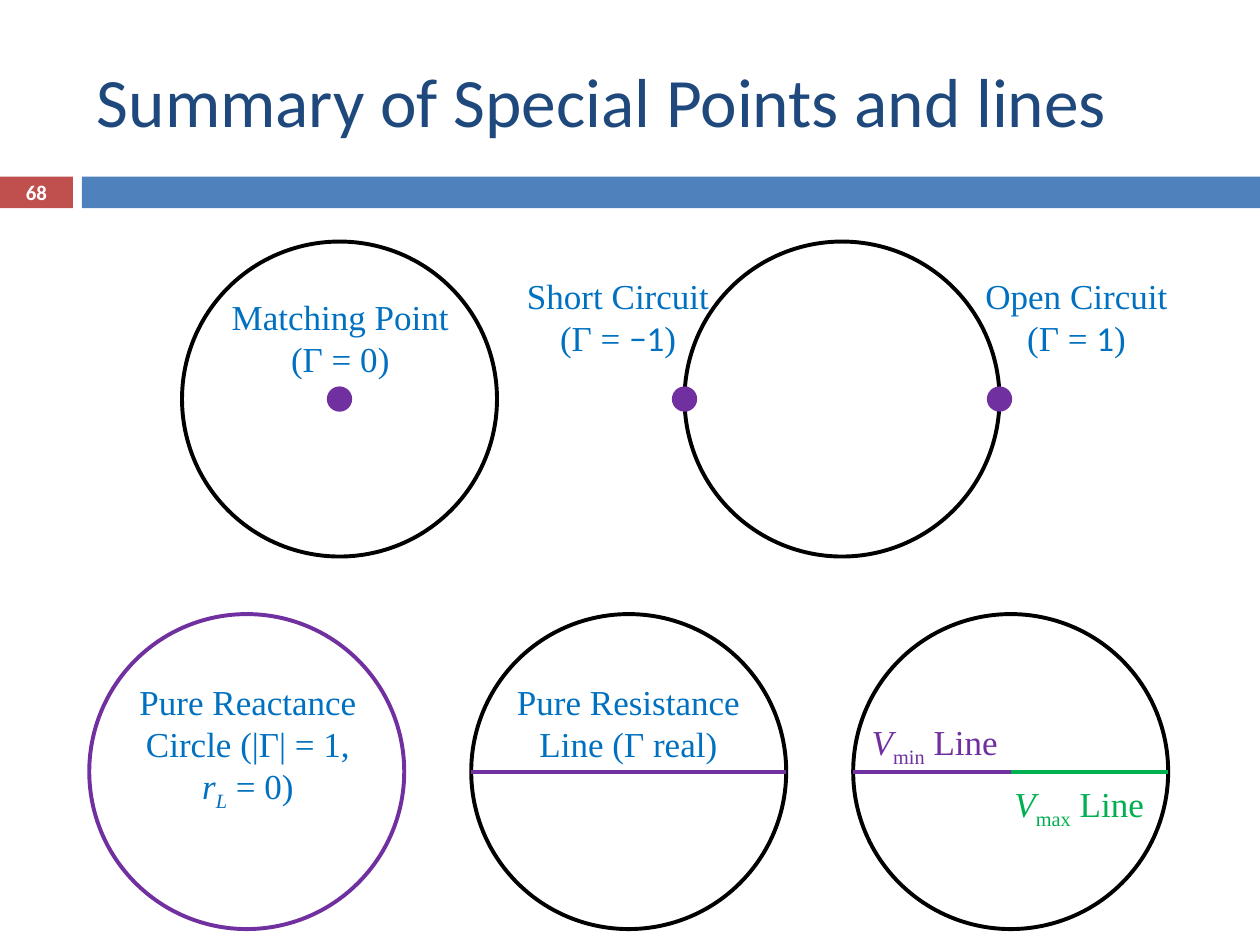
from lxml.etree import SubElement
from pptx import Presentation
from pptx.dml.color import RGBColor
from pptx.enum.shapes import MSO_CONNECTOR, MSO_SHAPE
from pptx.enum.text import MSO_ANCHOR, MSO_AUTO_SIZE, PP_ALIGN
from pptx.oxml.ns import qn
from pptx.util import Cm, Pt

COLORS = {"navy": "1F497D", "blue": "4F81BD", "red": "C0504D", "label": "0070C0",
          "purple": "7030A0", "green": "00B050", "black": "000000", "white": "FFFFFF"}
SERIF, SANS = "Times New Roman", "Calibri"
DIAMETER, DOT = 6.35, 0.51
RADIUS = DIAMETER / 2
ITALIC, SUB = {"italic": True}, {"sub": True}


class ChartSlide:
    """Holds the style and the current slide."""

    label_format = {"name": SERIF, "size": Pt(20)}

    def __init__(self, prs):
        self.slide = prs.slides.add_slide(prs.slide_layouts[5])
        self.shapes = self.slide.shapes

    def rgb(self, color):
        return RGBColor.from_string(COLORS[color])

    def style_run(self, run, color, formats):
        values = dict(formats)
        if values.pop("sub", False):
            run._r.get_or_add_rPr().set("baseline", "-25000")
        for attribute, value in values.items():
            setattr(run.font, attribute, value)
        run.font.color.rgb = self.rgb(color)

    def title(self, text, left, top, width, height):
        heading = self.shapes.title
        box = {"left": left, "top": top, "width": width, "height": height}
        for attribute, value in box.items():
            setattr(heading, attribute, Cm(value))
        frame = heading.text_frame
        frame.vertical_anchor = MSO_ANCHOR.MIDDLE
        frame.auto_size = MSO_AUTO_SIZE.NONE
        frame.text = text
        frame.paragraphs[0].alignment = PP_ALIGN.LEFT
        self.style_run(frame.paragraphs[0].runs[0], "navy", {"name": SANS, "size": Pt(39.6)})

    def shape(self, kind, left, top, width, height, fill=None, line=None):
        figure = self.shapes.add_shape(kind, Cm(left), Cm(top), Cm(width), Cm(height))
        figure.shadow.inherit = False
        if fill:
            figure.fill.solid()
            figure.fill.fore_color.rgb = self.rgb(fill)
        else:
            figure.fill.background()
        if line:
            figure.line.color.rgb = self.rgb(line)
            figure.line.width = Pt(2.25)
        else:
            figure.line.fill.background()

    def bar(self, left, width, color):
        self.shape(MSO_SHAPE.RECTANGLE, left, 3.56, width, 0.64, fill=color)

    def circle(self, left, top, color="black"):
        self.shape(MSO_SHAPE.OVAL, left, top, DIAMETER, DIAMETER, line=color)

    def dot(self, x, y):
        self.shape(MSO_SHAPE.OVAL, x - DOT / 2, y - DOT / 2, DOT, DOT, fill="purple")

    def line(self, start, end, y, color):
        link = self.shapes.add_connector(MSO_CONNECTOR.STRAIGHT, Cm(start), Cm(y), Cm(end), Cm(y))
        link.line.color.rgb = self.rgb(color)
        link.line.width = Pt(2.25)
        SubElement(link._element.spPr, qn("a:effectLst"))

    def label(self, left, top, width, height, *parts, color="label", formats=None):
        """Each part is a text with the format values that differ from the label style."""
        box = self.shapes.add_textbox(Cm(left), Cm(top), Cm(width), Cm(height))
        frame = box.text_frame
        frame.word_wrap = True
        paragraph = frame.paragraphs[0]
        paragraph.alignment = PP_ALIGN.CENTER
        for text, changes in parts:
            run = paragraph.add_run()
            run.text = text
            self.style_run(run, color, {**self.label_format, **(formats or {}), **changes})
        return frame

    def page_number(self, number):
        frame = self.label(0, 3.53, 1.47, 0.69, (number, {}), color="white",
                           formats={"name": SANS, "size": Pt(11.9), "bold": True})
        frame.vertical_anchor = MSO_ANCHOR.MIDDLE
        for side in ("left", "right", "top", "bottom"):
            setattr(frame, f"margin_{side}", 0)


def main():
    prs = Presentation()
    prs.slide_width, prs.slide_height = Cm(25.4), Cm(19.05)
    page = ChartSlide(prs)

    # Header
    page.bar(0, 1.47, "red")
    page.bar(1.65, 23.75, "blue")
    page.title("Summary of Special Points and lines", 1.7, 0.64, 22.66, 2.74)
    page.page_number("68")

    # Special points
    points_top = 4.87
    points_axis = points_top + RADIUS
    matching, circuits = 3.67, 13.8
    page.circle(matching, points_top)
    page.dot(matching + RADIUS, points_axis)
    page.label(4.32, 5.84, 5.08, 1.96, ("Matching Point (Γ = 0)", {}))
    page.circle(circuits, points_top)
    for name, value, dot_x, label_left in (
            ("Open", "1", circuits + DIAMETER, 19.53),
            ("Short", "−1", circuits, 10.29)):
        page.dot(dot_x, points_axis)
        page.label(label_left, 5.41, 4.34, 1.96, (f"{name} Circuit (Γ = ", {}),
                   (value, {"name": SANS}), (")", {}))

    # Special lines
    lines_top = 12.38
    lines_axis = lines_top + RADIUS
    reactance, resistance, voltage = (1.8 + 7.7 * column for column in range(3))
    page.circle(reactance, lines_top, "purple")
    page.label(2.46, 13.59, 5.08, 2.82, ("Pure Reactance Circle (|Γ| = 1, ", {}),
               ("r", ITALIC), ("L", {**ITALIC, **SUB}), (" = 0)", {}))
    page.circle(resistance, lines_top)
    page.label(10.13, 13.59, 5.08, 1.96, ("Pure Resistance Line (Γ real)", {}))
    page.line(resistance + DIAMETER, resistance, lines_axis, "purple")

    # Voltage minimum and maximum
    page.circle(voltage, lines_top)
    for index, (extreme, color, left, top, width) in enumerate((
            ("min", "purple", 17.22, 14.4, 3.25),
            ("max", "green", 20.09, 15.65, 3.33))):
        start = voltage + index * RADIUS
        page.line(start + RADIUS, start, lines_axis, color)
        page.label(left, top, width, 1.12, ("V", ITALIC), (extreme, SUB),
                   (" Line", {}), color=color)

    prs.save("out.pptx")


if __name__ == "__main__":
    main()
